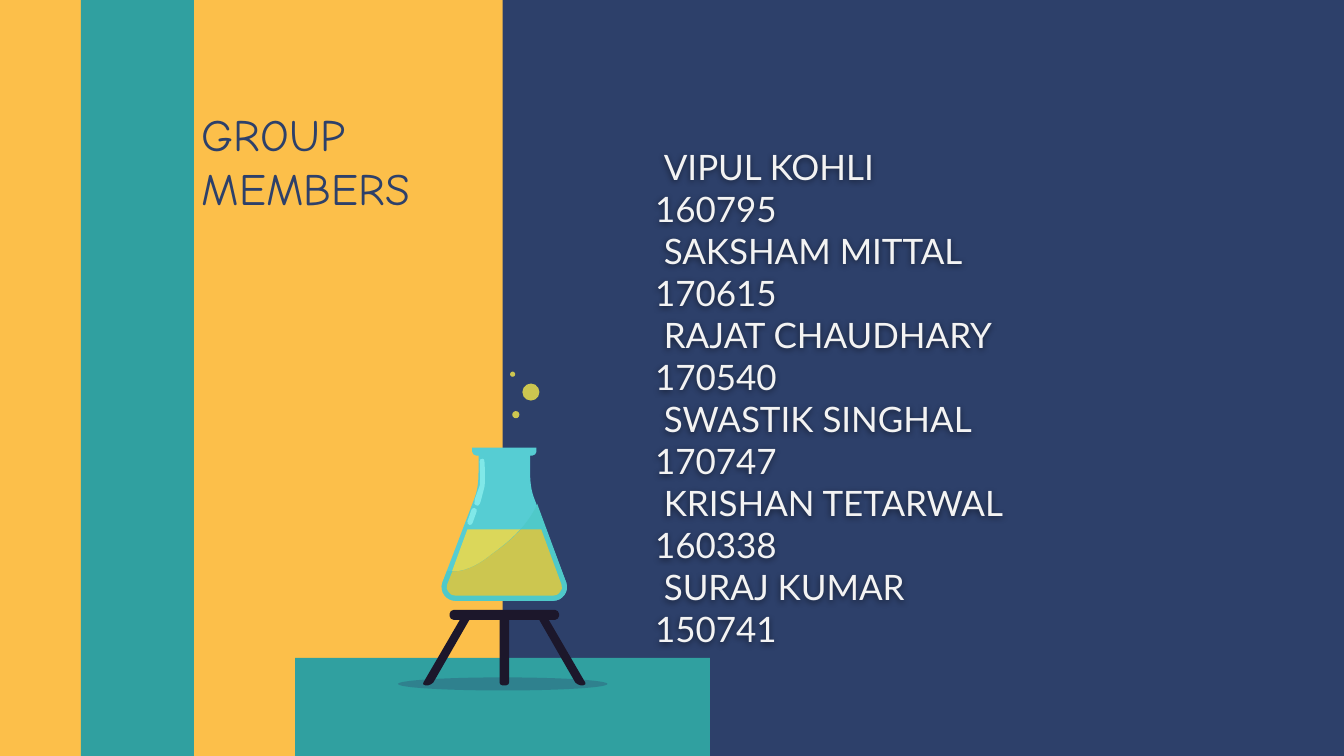
import lxml.etree
import pptx
import pptx.dml.color
import pptx.enum.shapes
import pptx.enum.text
import pptx.oxml.ns
import pptx.util

Cm, Pt = pptx.util.Cm, pptx.util.Pt
KIND = pptx.enum.shapes.MSO_SHAPE
ANCHOR = pptx.enum.text.MSO_ANCHOR
qn = pptx.oxml.ns.qn

HUES = {
    "amber": "FCBF4A", "navy": "2D406A", "teal": "30A0A0", "white": "F3F3F3",
    "wood": "1C172B", "glass": "56CDD3", "dim": "4FC9C9", "shine": "80E8E8",
    "juice": "DBD75A", "olive": "CCC650",
}
RGB = {name: pptx.dml.color.RGBColor.from_string(code) for name, code in HUES.items()}
AXIS = 12.71  # centre line of the flask and its stand, in cm


def paint(shape, hue):
    shape.shadow.inherit = False
    shape.fill.solid()
    shape.fill.fore_color.rgb = RGB[hue]
    shape.line.fill.background()
    return shape


def flip(steps):
    """Mirror an outline across the axis and walk it backwards."""
    back = [(-steps[-1][-2], steps[-1][-1])]
    for prior, step in zip(steps[-2::-1], steps[:0:-1]):
        x, y = prior[-2:]
        if len(step) == 6:
            a, b, c, d = step[:4]
            back.append((-c, d, -a, b, -x, y))
        else:
            back.append((-x, y))
    return back


deck = pptx.Presentation()
deck.slide_width, deck.slide_height = Cm(33.87), Cm(19.05)
slide = deck.slides.add_slide(deck.slide_layouts[5])
slide.background.fill.solid()
slide.background.fill.fore_color.rgb = RGB["amber"]
shapes = slide.shapes

# Panels
for hue, left, top, wide, high in [
    ("navy", 12.67, 0, 21.2, 19.05),
    ("teal", 2.04, 0, 2.85, 19.05),
    ("teal", 7.44, 16.58, 10.45, 2.47),
]:
    paint(shapes.add_shape(KIND.RECTANGLE, Cm(left), Cm(top), Cm(wide), Cm(high)), hue)

# Title and members
title = shapes.title
body = shapes.add_textbox(Cm(16.18), Cm(5.33), Cm(16.26), Cm(9.37))
title.left, title.top, title.width, title.height = Cm(4.75), Cm(1.88), Cm(7.92), Cm(3.86)
title.text_frame.text = "GROUP MEMBERS"
members = [
    ("VIPUL KOHLI", "160795"), ("SAKSHAM MITTAL", "170615"),
    ("RAJAT CHAUDHARY", "170540"), ("SWASTIK SINGHAL", "170747"),
    ("KRISHAN TETARWAL", "160338"), ("SURAJ KUMAR", "150741"),
]
body.text_frame.text = "\n".join(f"{name}\v{number}" for name, number in members)

frame = {
    "word_wrap": True, "auto_size": pptx.enum.text.MSO_AUTO_SIZE.NONE,
    "margin_left": Cm(0.33), "margin_right": Cm(0.33),
    "margin_top": Cm(0.33), "margin_bottom": Cm(0.33),
}
for box, anchor, font, size, hue in [
    (title, ANCHOR.BOTTOM, "Comic Neue", 32, "navy"),
    (body, ANCHOR.MIDDLE, "Lato", 25, "white"),
]:
    for key, value in frame.items():
        setattr(box.text_frame, key, value)
    box.text_frame.vertical_anchor = anchor
    for para in box.text_frame.paragraphs:
        para.alignment = pptx.enum.text.PP_ALIGN.LEFT
        for run in para.runs:
            run.font.name, run.font.size = font, Pt(size)
            run.font.color.rgb = RGB[hue]

# Each name starts a little to the right of its number
for para in body.text_frame.paragraphs:
    para._p.get_or_add_pPr().set("indent", str(Cm(0.22)))

body.shadow.inherit = False
cast = lxml.etree.SubElement(
    body._element.spPr.find(qn("a:effectLst")), qn("a:outerShdw"),
    blurRad=str(Pt(4.5)), dist=str(Pt(1.5)), dir="5400000", algn="bl", rotWithShape="0")
tint = lxml.etree.SubElement(cast, qn("a:srgbClr"), val="000000")
lxml.etree.SubElement(tint, qn("a:alpha"), val="50000")

# Shadow on the table
shade = paint(shapes.add_shape(KIND.OVAL, Cm(10.03), Cm(17.07), Cm(5.28), Cm(0.33)), "navy")
tint = shade._element.spPr.find(qn("a:solidFill")).find(qn("a:srgbClr"))
lxml.etree.SubElement(tint, qn("a:alpha"), val="32000")

# Outlines: 2 numbers make a line, 6 a Bezier curve; x runs from the axis.
# A mirrored outline lists its right half only.
stand = [
    (1.28, 15.37), (1.33, 15.37, 1.38, 15.42, 1.38, 15.47), (1.38, 15.52),
    (1.38, 15.57, 1.33, 15.62, 1.28, 15.62), (1.12, 15.62), (2.04, 17.2),
    (2.07, 17.22, 2.04, 17.27, 1.99, 17.27), (1.92, 17.27),
    (1.87, 17.27, 1.82, 17.22, 1.79, 17.2), (0.88, 15.62), (0.12, 15.62),
    (0.12, 17.2), (0.12, 17.22, 0.1, 17.27, 0.05, 17.27),
]
flask = [
    (0.81, 11.28), (0.81, 11.38), (0.81, 11.43, 0.76, 11.48, 0.71, 11.48),
    (0.65, 11.48), (0.65, 11.89), (0.65, 12.12, 0.67, 12.34, 0.75, 12.55),
    (1.56, 14.68), (1.64, 14.91, 1.46, 15.14, 1.23, 15.14),
]
juice = [
    (0.93, 13.34), (1.44, 14.73), (1.46, 14.81, 1.46, 14.86, 1.41, 14.91),
    (1.35, 14.99, 1.3, 15.01, 1.23, 15.01),
]
sweep = (-0.57, 14.18, -0.93, 14.4, -1.26, 14.4)
side = [
    (0.83, 12.7), (0.6, 13.23, 0.14, 13.64, -0.32, 13.97), sweep,
    (-1.33, 14.4, -1.38, 14.38, -1.44, 14.38),
    *flip(flask[-2:])[::-1][:1], (-1.64, 14.91, -1.46, 15.14, -1.23, 15.14),
    (1.23, 15.14), (1.46, 15.14, 1.64, 14.91, 1.56, 14.68),
]
side[4] = (-1.56, 14.68)
depth = [
    (0.42, 13.34), (0.19, 13.59, -0.06, 13.79, -0.32, 13.97), sweep,
    (-1.31, 14.4), (-1.44, 14.73), (-1.46, 14.81, -1.46, 14.86, -1.41, 14.91),
    (-1.35, 14.99, -1.3, 15.01, -1.23, 15.01), (1.23, 15.01),
    (1.3, 15.01, 1.35, 14.99, 1.41, 14.91),
    (1.46, 14.86, 1.46, 14.81, 1.44, 14.73), (0.93, 13.34),
]
glint = [
    (-0.75, 12.8), (-0.8, 12.8, -0.83, 12.83, -0.83, 12.85),
    (-0.88, 13, -0.93, 13.13, -0.93, 13.13),
    (-0.93, 13.18, -0.93, 13.21, -0.88, 13.23),
    (-0.85, 13.23, -0.8, 13.21, -0.8, 13.18), (-0.7, 12.9),
    (-0.68, 12.87, -0.7, 12.8, -0.75, 12.8),
]
gleam = [
    (-0.55, 11.56), (-0.6, 11.56, -0.62, 11.58, -0.62, 11.63),
    (-0.62, 11.63, -0.6, 12.07, -0.62, 12.24),
    (-0.65, 12.32, -0.7, 12.45, -0.75, 12.6), (-0.75, 12.65),
    (-0.77, 12.67, -0.75, 12.73, -0.72, 12.73),
    (-0.68, 12.76, -0.64, 12.75, -0.62, 12.7), (-0.6, 12.65),
    (-0.55, 12.47, -0.52, 12.34, -0.5, 12.27),
    (-0.47, 12.07, -0.5, 11.63, -0.5, 11.63),
    (-0.5, 11.58, -0.52, 11.56, -0.55, 11.56),
]
for steps, hue in [
    (stand + flip(stand), "wood"), (flask + flip(flask), "glass"),
    (juice + flip(juice), "juice"), (side, "dim"), (depth, "olive"),
    (glint, "shine"), (gleam, "shine"),
]:
    ends = [(Cm(AXIS + step[-2]), Cm(step[-1])) for step in steps]
    pen = shapes.build_freeform(*ends[0])
    pen.add_line_segments(ends[1:], close=True)
    shape = paint(pen.convert_to_shape(), hue)
    # Bend the segments that are curves
    edges = list(shape._element.spPr.iter(qn("a:lnTo")))
    for edge, step in zip(edges, steps[1:]):
        if len(step) == 6:
            edge.tag = qn("a:cubicBezTo")
            for k in (0, 2):
                x = Cm(AXIS + step[k]) - shape.left
                y = Cm(step[k + 1]) - shape.top
                knob = lxml.etree.SubElement(edge, qn("a:pt"), x=str(x), y=str(y))
                edge.insert(k // 2, knob)

# Bubbles
for x, y, size in [(12.92, 9.43, 0.13), (13.38, 9.88, 0.43), (13, 10.45, 0.18)]:
    half = size / 2
    paint(shapes.add_shape(KIND.OVAL, Cm(x - half), Cm(y - half), Cm(size), Cm(size)), "olive")

deck.save("out.pptx")
